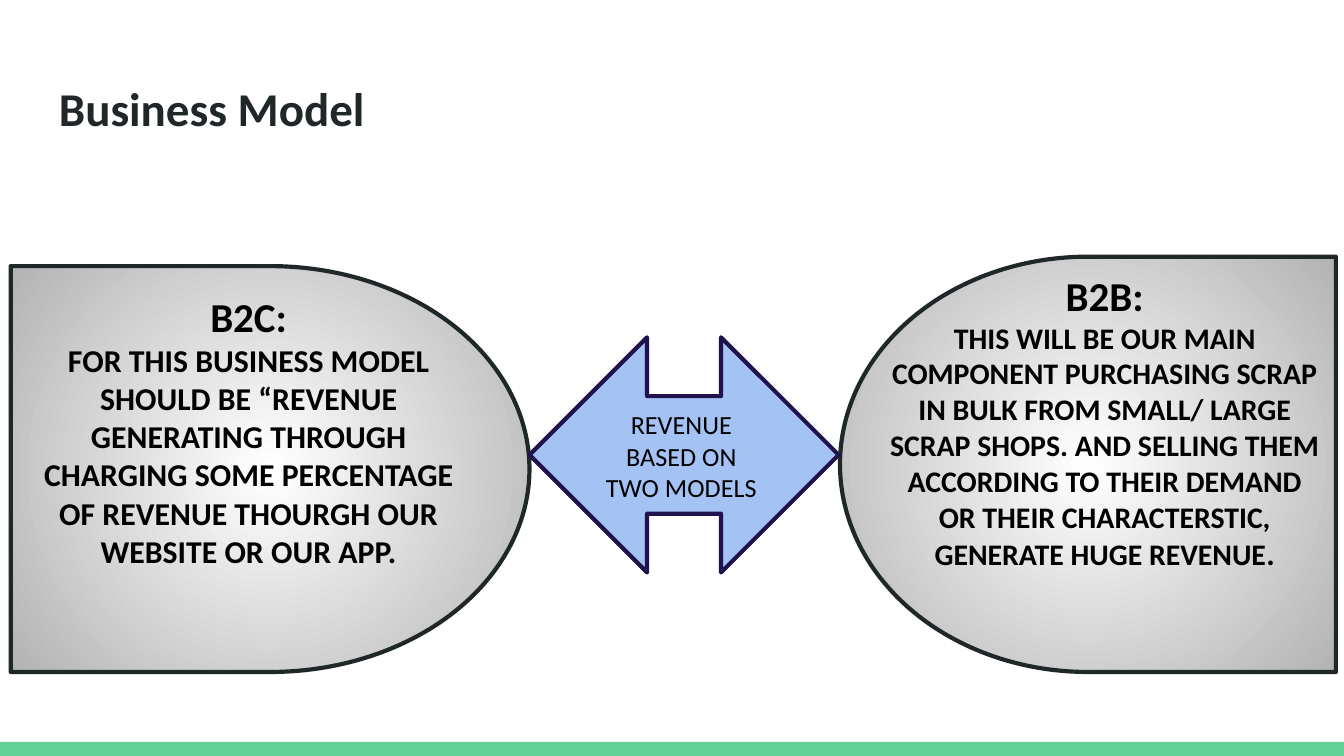
import pptx
import pptx.dml.color
import pptx.enum.shapes
import pptx.enum.text
import pptx.oxml
import pptx.oxml.ns
import pptx.util

Inches = pptx.util.Inches
RGBColor = pptx.dml.color.RGBColor
Shapes = pptx.enum.shapes.MSO_SHAPE
Align = pptx.enum.text.PP_ALIGN

GREEN = RGBColor(0x63, 0xD2, 0x97)
CHARCOAL = RGBColor(0x20, 0x27, 0x29)
WHITE = RGBColor(0xFF, 0xFF, 0xFF)
GRAY = RGBColor(0xB3, 0xB3, 0xB3)
SKY = RGBColor(0xA4, 0xC2, 0xF4)
INDIGO = RGBColor(0x20, 0x12, 0x4D)
BLACK = RGBColor(0, 0, 0)

B2C_TEXT = (
    "FOR THIS BUSINESS MODEL SHOULD BE “REVENUE GENERATING THROUGH CHARGING "
    "SOME PERCENTAGE OF REVENUE THOURGH OUR WEBSITE OR OUR APP."
)
B2B_TEXT = (
    "THIS WILL BE OUR MAIN COMPONENT PURCHASING SCRAP IN BULK FROM SMALL/ LARGE "
    "SCRAP SHOPS. AND SELLING THEM ACCORDING TO THEIR DEMAND OR THEIR "
    "CHARACTERSTIC, GENERATE HUGE REVENUE"
)


class SlideBuilder:
    font_name = "Calibri"
    line_width = pptx.util.Pt(2.25)
    inset = Inches(0.1)

    def __init__(self, slide):
        self.slide = slide

    def shape(self, kind, left, top, width, height, fill=None, line=None):
        shape = self.slide.shapes.add_shape(
            kind, Inches(left), Inches(top), Inches(width), Inches(height))
        shape.shadow.inherit = False
        if fill is not None:
            shape.fill.solid()
            shape.fill.fore_color.rgb = fill
        if line is None:
            shape.line.fill.background()
        else:
            shape.line.color.rgb = line
            shape.line.width = self.line_width
        return shape

    def model_panel(self, left, top, width, height, flipped=False):
        """Add a half-rounded panel with a gradient radiating from its centre."""
        panel = self.shape(Shapes.FLOWCHART_DELAY, left, top, width, height, line=CHARCOAL)
        panel.fill.gradient()
        for stop, position, color in zip(panel.fill.gradient_stops, (0, 1), (WHITE, GRAY)):
            stop.position = position
            stop.color.rgb = color
        properties = panel.element.spPr
        linear = properties.find(".//" + pptx.oxml.ns.qn("a:lin"))
        radial = pptx.oxml.parse_xml(
            f'<a:path {pptx.oxml.ns.nsdecls("a")} path="circle">'
            '<a:fillToRect l="50000" t="50000" r="50000" b="50000"/></a:path>')
        linear.getparent().replace(linear, radial)
        if flipped:
            properties.xfrm.set("flipH", "1")

    def text(self, left, top, width, height, paragraphs,
             color=BLACK, bold=True, align=Align.CENTER):
        """Add a text box; each paragraph is a list of (text, size) spans."""
        box = self.slide.shapes.add_textbox(
            Inches(left), Inches(top), Inches(width), Inches(height))
        frame = box.text_frame
        frame.word_wrap = True
        frame.margin_left = frame.margin_right = self.inset
        frame.margin_top = frame.margin_bottom = self.inset
        for index, spans in enumerate(paragraphs):
            para = frame.add_paragraph() if index else frame.paragraphs[0]
            para.alignment = align
            for words, size in spans:
                span = para.add_run()
                span.text = words
                span.font.name = self.font_name
                span.font.size = pptx.util.Pt(size)
                span.font.bold = bold
                span.font.color.rgb = color


def main():
    deck = pptx.Presentation()
    deck.slide_width = Inches(10)
    deck.slide_height = deck.slide_width * 9 // 16
    page = SlideBuilder(deck.slides.add_slide(deck.slide_layouts[6]))

    page.shape(Shapes.RECTANGLE, 0, 5.52, 10, 0.11, fill=GREEN)
    page.text(0.34, 0.49, 9.32, 0.63, [[("Business Model", 25.2)]],
              color=CHARCOAL, align=Align.LEFT)

    page.model_panel(0.08, 1.98, 3.86, 3.02)
    page.model_panel(6.25, 1.91, 3.69, 3.09, flipped=True)
    page.shape(Shapes.LEFT_RIGHT_ARROW, 3.94, 2.51, 2.3, 1.75, fill=SKY, line=INDIGO)

    page.text(4.35, 2.94, 1.44, 0.91, [[("REVENUE BASED ON TWO MODELS", 14)]], bold=False)
    page.text(0.14, 2.07, 3.42, 2.81, [[("B2C:", 22)], [(B2C_TEXT, 17)]])
    page.text(6.51, 1.91, 3.42, 2.74, [[("B2B:", 22)], [(B2B_TEXT, 16), (".", 17)]])

    deck.save("out.pptx")


if __name__ == "__main__":
    main()
